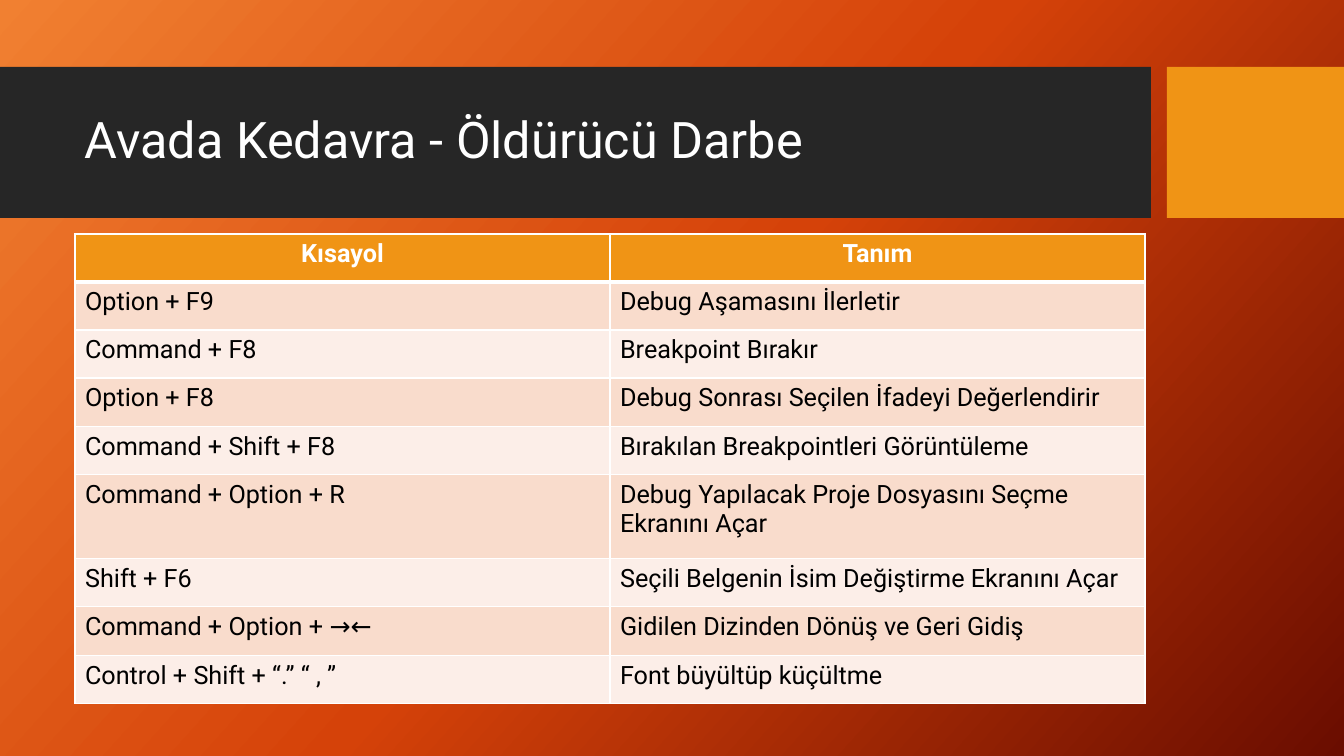
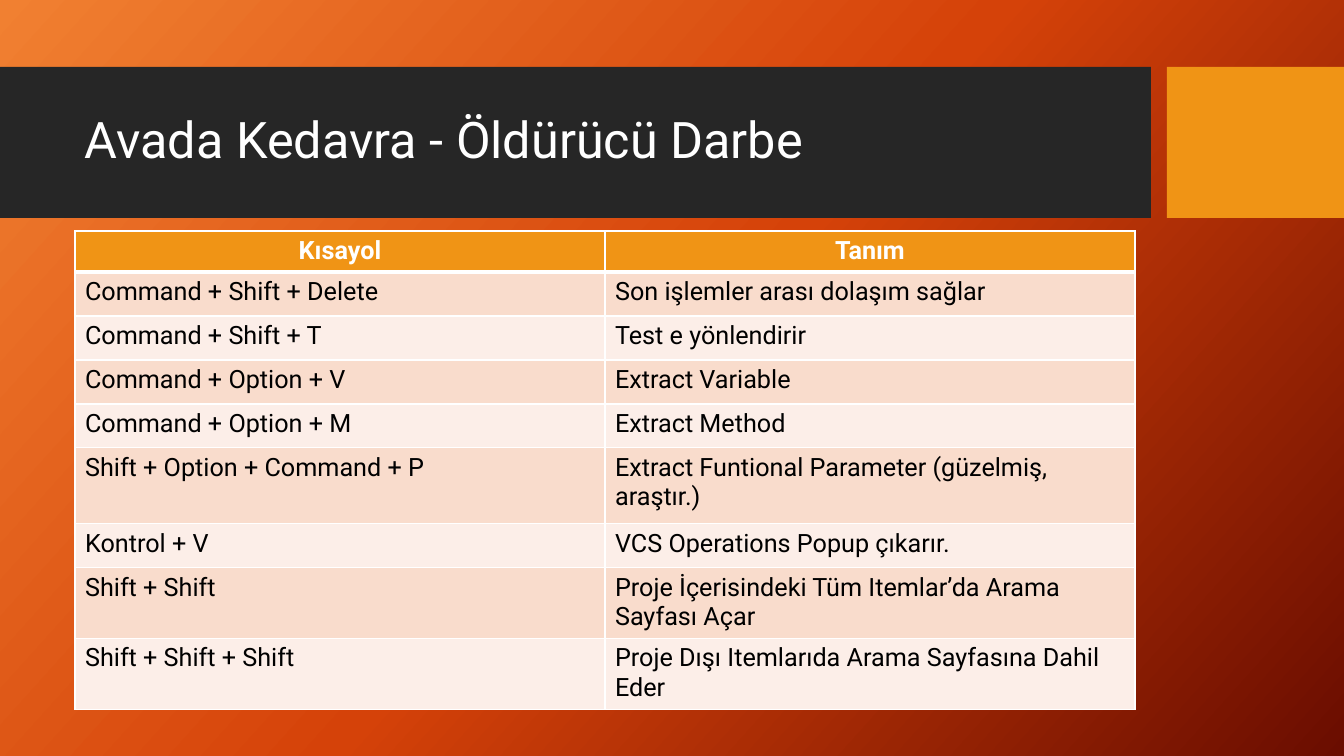
from copy import deepcopy
from dataclasses import dataclass

from pptx import Presentation
from pptx.dml.color import RGBColor
from pptx.enum.shapes import MSO_SHAPE
from pptx.enum.text import MSO_ANCHOR, PP_ALIGN
from pptx.oxml import parse_xml
from pptx.oxml.ns import nsdecls, qn
from pptx.util import Emu, Pt

RECT = MSO_SHAPE.RECTANGLE
LEFT, CENTER = PP_ALIGN.LEFT, PP_ALIGN.CENTER
TOP, MIDDLE = MSO_ANCHOR.TOP, MSO_ANCHOR.MIDDLE
PX = 914400 / 100.8
WIDTH, HEIGHT = 1344, 756


@dataclass(frozen=True)
class Theme:
    """Colours, font and sizes shared by the slides."""
    font: str = "Roboto"
    title_size: int = 36
    table_size: int = 18
    band: str = "262626"
    accent: str = "F09415"
    white: str = "FFFFFF"
    black: str = "000000"
    rows: tuple = ("F9DCCC", "FCEEE8")
    backdrop: tuple = ((0, "F18031"), (0.5, "D54209"), (1, "6A0D00"))
    angle: int = 42
    thin: int = 1
    thick: int = 3


THEME = Theme()
TITLE = "Avada Kedavra - Öldürücü Darbe"
HEADER = ("Kısayol", "Tanım")

DEBUG_KEYS = [
    ("Option + F9", "Debug Aşamasını İlerletir"),
    ("Command + F8", "Breakpoint Bırakır"),
    ("Option + F8", "Debug Sonrası Seçilen İfadeyi Değerlendirir"),
    ("Command + Shift + F8", "Bırakılan Breakpointleri Görüntüleme"),
    ("Command + Option + R", "Debug Yapılacak Proje Dosyasını Seçme Ekranını Açar"),
    ("Shift + F6", "Seçili Belgenin İsim Değiştirme Ekranını Açar"),
    ("Command + Option + →←", "Gidilen Dizinden Dönüş ve Geri Gidiş"),
    ("Control + Shift + “.” “ , ”", "Font büyültüp küçültme"),
]
REFACTOR_KEYS = [
    ("Command + Shift + Delete", "Son işlemler arası dolaşım sağlar"),
    ("Command + Shift + T", "Test e yönlendirir"),
    ("Command + Option + V", "Extract Variable"),
    ("Command + Option + M", "Extract Method"),
    ("Shift + Option + Command + P", "Extract Funtional Parameter (güzelmiş, araştır.)"),
    ("Kontrol + V", "VCS Operations Popup çıkarır."),
    ("Shift + Shift", "Proje İçerisindeki Tüm Itemlar’da Arama Sayfası Açar"),
    ("Shift + Shift + Shift", "Proje Dışı Itemlarıda Arama Sayfasına Dahil Eder"),
]


def px(n):
    """Turn pixels into EMU."""
    return Emu(round(n * PX))


def rgb(color):
    """Turn a hex string into a colour."""
    return RGBColor.from_string(color)


def write(tf, text, *, size, color, bold=False, align=LEFT, spacing=None):
    """Write one formatted paragraph into a text frame."""
    tf.word_wrap = True
    p = tf.paragraphs[0]
    p.alignment = align
    p.line_spacing = spacing
    r = p.add_run()
    r.text = text
    r.font.name = THEME.font
    r.font.size = Pt(size)
    r.font.bold = bold
    r.font.color.rgb = rgb(color)


def paint_backdrop(master):
    """Give the master its diagonal gradient."""
    fill = master.background.fill
    fill.gradient()
    stops = master.element.find(".//" + qn("p:bg")).find(".//" + qn("a:gsLst"))
    stops.append(deepcopy(stops[-1]))
    for stop, (position, color) in zip(fill.gradient_stops, THEME.backdrop):
        stop.position = position
        stop.color.rgb = rgb(color)
    fill.gradient_angle = 360 - THEME.angle


def add_block(s, x, y, w, h, color):
    """Add a plain filled rectangle."""
    sp = s.shapes.add_shape(RECT, px(x), px(y), px(w), px(h))
    sp.shadow.inherit = False
    sp.fill.solid()
    sp.fill.fore_color.rgb = rgb(color)
    sp.line.fill.background()


def add_titled_slide(prs, title):
    """Add a slide with the title band and its accent block."""
    s = prs.slides.add_slide(prs.slide_layouts.get_by_name("Blank"))
    add_block(s, 0, 67, 1151, 151, THEME.band)
    add_block(s, 1167, 67, WIDTH - 1167, 151, THEME.accent)
    tf = s.shapes.add_textbox(px(75), px(83), px(1059), px(119)).text_frame
    tf.vertical_anchor = MIDDLE
    write(tf, title, size=THEME.title_size, color=THEME.white, spacing=0.9)
    return s


def style_cell(cell, color, top, bottom):
    """Fill a cell and draw its four white borders."""
    tc_pr = cell._tc.get_or_add_tcPr()
    widths = (("L", THEME.thin), ("R", THEME.thin), ("T", top), ("B", bottom))
    for side, width in widths:
        tc_pr.append(parse_xml(
            f'<a:ln{side} {nsdecls("a")} w="{Pt(width)}"><a:solidFill>'
            f'<a:srgbClr val="{THEME.white}"/></a:solidFill></a:ln{side}>'))
    cell.fill.solid()
    cell.fill.fore_color.rgb = rgb(color)
    cell.vertical_anchor = TOP


def add_shortcut_table(s, y, col_width, heights, shortcuts):
    """Add a two-column table with a header and alternating rows."""
    rows = [HEADER, *shortcuts]
    table = s.shapes.add_table(len(rows), len(HEADER), px(75), px(y),
                               px(col_width * len(HEADER)), px(sum(heights))).table
    for column in table.columns:
        column.width = px(col_width)
    for i, (texts, height) in enumerate(zip(rows, heights)):
        table.rows[i].height = px(height)
        head = i == 0
        color = THEME.accent if head else THEME.rows[(i - 1) % 2]
        top = THEME.thick if i == 1 else THEME.thin
        bottom = THEME.thick if head else THEME.thin
        for j, text in enumerate(texts):
            cell = table.cell(i, j)
            style_cell(cell, color, top, bottom)
            write(cell.text_frame, text, size=THEME.table_size, bold=head,
                  color=THEME.white if head else THEME.black,
                  align=CENTER if head else LEFT)


def main():
    """Build the two shortcut slides and save them."""
    prs = Presentation()
    prs.slide_width, prs.slide_height = px(WIDTH), px(HEIGHT)
    paint_backdrop(prs.slide_master)
    s = add_titled_slide(prs, TITLE)
    add_shortcut_table(s, 234, 535, [48, 48, 48, 49, 48, 84, 48, 49, 48], DEBUG_KEYS)
    s = add_titled_slide(prs, TITLE)
    add_shortcut_table(s, 231, 530, [41, 44, 44, 44, 44, 76, 44, 70, 71], REFACTOR_KEYS)
    prs.save("out.pptx")


main()
